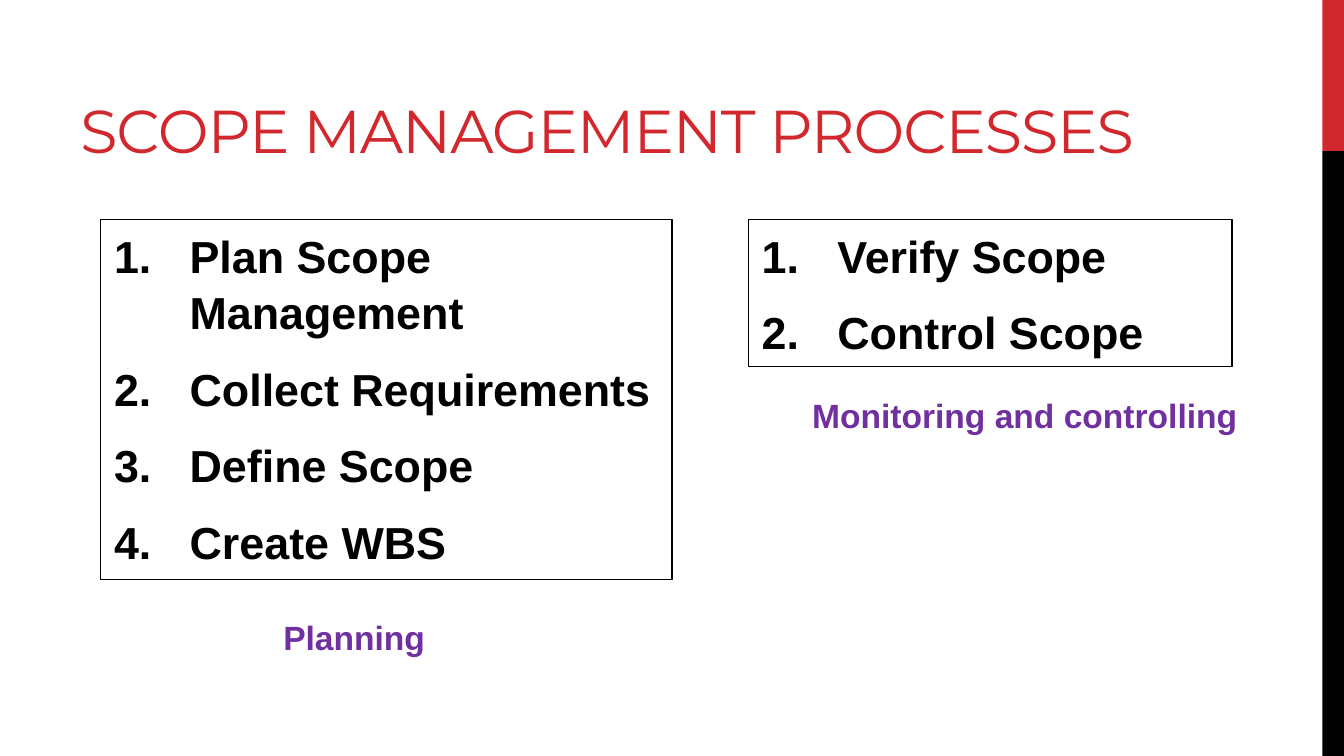
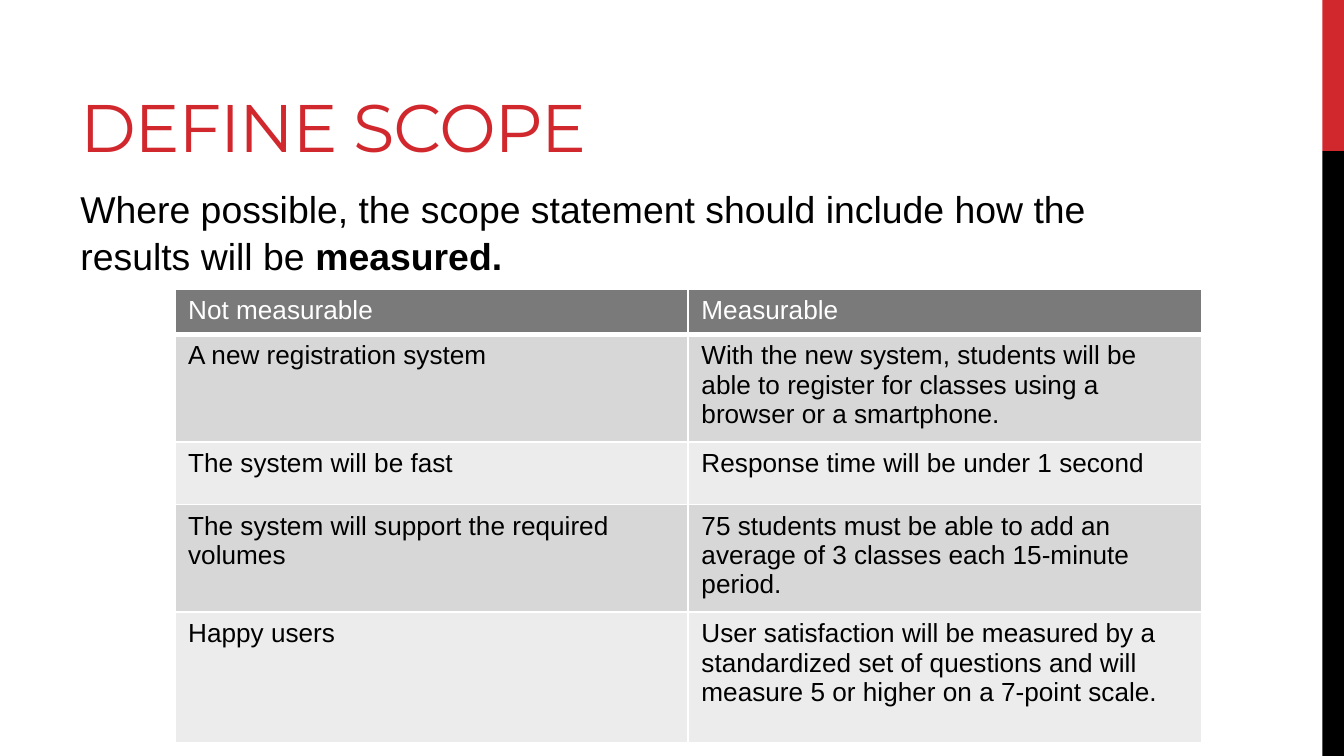
from lxml import etree
from pptx import Presentation
from pptx import util as u
from pptx.dml.color import RGBColor
from pptx.enum import shapes, text
from pptx.oxml.ns import qn

RED, BLACK, WHITE, PURPLE = "D1282E", "000000", "FFFFFF", "7030A0"
HEADER_FILL, BAND_FILLS = "7A7A7A", ("D7D7D7", "ECECEC")
WIDTH, HEIGHT = 720, 405
BAND_LEFT, BAND_SPLIT = 708.5, 81

PROCESSES = {
    "title": ("SCOPE MANAGEMENT PROCESSES", 653, 32.4),
    "groups": [
        {"steps": ["Plan Scope Management", "Collect Requirements",
                   "Define Scope", "Create WBS"],
         "box": (54, 117.5, 306, 193),
         "phase": "Planning", "phase_box": (144.7, 327, 96.5, 29)},
        {"steps": ["Verify Scope", "Control Scope"],
         "box": (401, 117.5, 259, 79),
         "phase": "Monitoring and controlling", "phase_box": (428, 208, 245, 29)},
    ],
}

MEASURES = {
    "title": ("DEFINE SCOPE", 573, 36),
    "advice": [("Where possible, the scope statement should include how the "
                "results will be ", False), ("measured.", True)],
    "advice_box": (36, 95, 573, 267),
    "rows": [
        ("Not measurable", "Measurable"),
        ("A new registration system",
         "With the new system, students will be able to register for classes "
         "using a browser or a smartphone."),
        ("The system will be fast", "Response time will be under 1 second"),
        ("The system will support the required volumes",
         "75 students must be able to add an average of 3 classes each "
         "15-minute period."),
        ("Happy users",
         "User satisfaction will be measured by a standardized set of questions "
         "and will measure 5 or higher on a 7-point scale."),
    ],
    "row_heights": (22, 57, 33.7, 52.5, 70),
    "table_place": (93.6, 155, 550),
}


def color(hex_value):
    return RGBColor.from_string(hex_value)


def points(values):
    return [u.Pt(value) for value in values]


def style(run, size, hex_value, bold=False, face="Arial"):
    run.font.size, run.font.bold, run.font.name = u.Pt(size), bold, face
    run.font.color.rgb = color(hex_value)


def space(paragraph, size):
    paragraph.line_spacing = 1.05
    paragraph.space_before, paragraph.space_after = u.Pt(size * 0.2), u.Pt(6)


def add_rect(slide, box, fill=None, line=None):
    rect = slide.shapes.add_shape(shapes.MSO_SHAPE.RECTANGLE, *points(box))
    rect.shadow.inherit = False
    if fill:
        rect.fill.solid()
        rect.fill.fore_color.rgb = color(fill)
    else:
        rect.fill.background()
    if line:
        rect.line.color.rgb, rect.line.width = color(line), u.Pt(0.75)
    else:
        rect.line.fill.background()
    return rect


def add_text(slide, box, wrap=True):
    frame = slide.shapes.add_textbox(*points(box)).text_frame
    frame.word_wrap = wrap
    return frame


def new_slide(deck, title, width, size):
    slide = deck.slides.add_slide(deck.slide_layouts[6])
    slide.background.fill.solid()
    slide.background.fill.fore_color.rgb = color(WHITE)
    band_width = WIDTH - BAND_LEFT
    add_rect(slide, (BAND_LEFT, 0, band_width, BAND_SPLIT), RED)
    add_rect(slide, (BAND_LEFT, BAND_SPLIT, band_width, HEIGHT - BAND_SPLIT), BLACK)
    frame = add_text(slide, (36, 9, width, 81))
    frame.vertical_anchor = text.MSO_ANCHOR.BOTTOM
    frame.margin_bottom = u.Pt(1.2)
    frame.text = title
    run = frame.paragraphs[0].runs[0]
    style(run, size, RED, face="Montserrat")
    run.font._element.set("spc", "-60")
    return slide


def add_steps(slide, steps, box):
    frame = add_rect(slide, box, line=BLACK).text_frame
    frame.word_wrap = True
    frame.vertical_anchor = text.MSO_ANCHOR.TOP
    frame.text = "\n".join(steps)
    for paragraph in frame.paragraphs:
        paragraph.alignment = text.PP_ALIGN.LEFT
        space(paragraph, 24)
        style(paragraph.runs[0], 24, BLACK, True)
        props = paragraph._p.get_or_add_pPr()
        props.set("marL", str(u.Pt(40.5)))
        props.set("indent", str(-u.Pt(40.5)))
        etree.SubElement(props, qn("a:buFont"), typeface="Arial")
        etree.SubElement(props, qn("a:buAutoNum"), type="arabicPeriod")


def add_borders(cell, bottom):
    props = cell._tc.get_or_add_tcPr()
    for side, width in (("L", 1), ("R", 1), ("T", 1), ("B", bottom)):
        line = etree.SubElement(props, qn(f"a:ln{side}"), w=str(u.Pt(width)))
        fill = etree.SubElement(line, qn("a:solidFill"))
        etree.SubElement(fill, qn("a:srgbClr"), val=WHITE)


def add_measures(slide, rows, heights, place):
    left, top, width = place
    columns = len(rows[0])
    table = slide.shapes.add_table(
        len(rows), columns, *points((left, top, width, sum(heights)))).table
    for column in table.columns:
        column.width = u.Pt(width / columns)
    for r, (row, height) in enumerate(zip(rows, heights)):
        table.rows[r].height = u.Pt(height)
        header = r == 0
        for c, wording in enumerate(row):
            cell = table.cell(r, c)
            cell.text = wording
            style(cell.text_frame.paragraphs[0].runs[0], 14,
                  WHITE if header else BLACK)
            add_borders(cell, 3 if header else 1)
            cell.fill.solid()
            cell.fill.fore_color.rgb = color(
                HEADER_FILL if header else BAND_FILLS[(r - 1) % 2])


def main():
    deck = Presentation()
    deck.slide_width, deck.slide_height = u.Pt(WIDTH), u.Pt(HEIGHT)

    slide = new_slide(deck, *PROCESSES["title"])
    for group in PROCESSES["groups"]:
        add_steps(slide, group["steps"], group["box"])
    for group in PROCESSES["groups"]:
        phase = add_text(slide, group["phase_box"], wrap=False)
        phase.auto_size = text.MSO_AUTO_SIZE.SHAPE_TO_FIT_TEXT
        phase.text = group["phase"]
        style(phase.paragraphs[0].runs[0], 18, PURPLE, True)

    slide = new_slide(deck, *MEASURES["title"])
    advice = add_text(slide, MEASURES["advice_box"]).paragraphs[0]
    space(advice, 20)
    for wording, bold in MEASURES["advice"]:
        run = advice.add_run()
        run.text = wording
        style(run, 20, BLACK, bold)
    add_measures(slide, MEASURES["rows"], MEASURES["row_heights"],
                 MEASURES["table_place"])

    deck.save("out.pptx")


if __name__ == "__main__":
    main()
